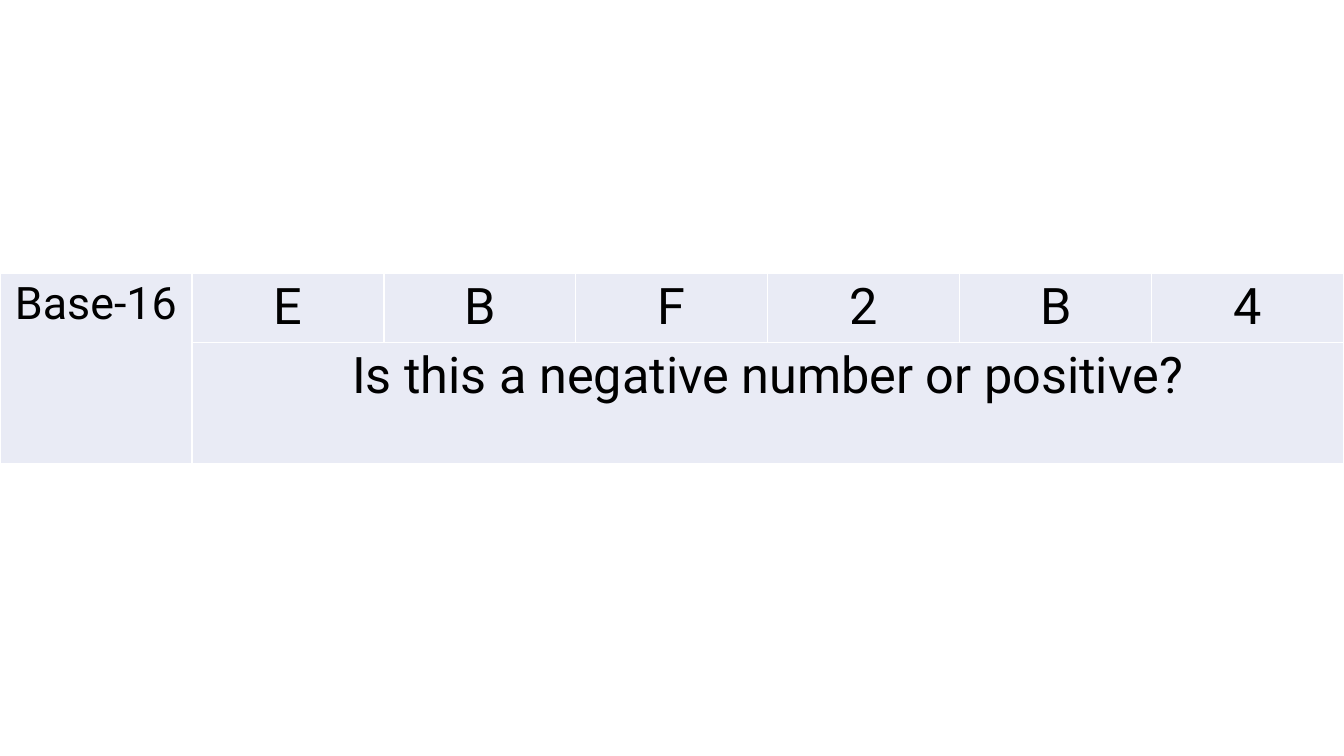
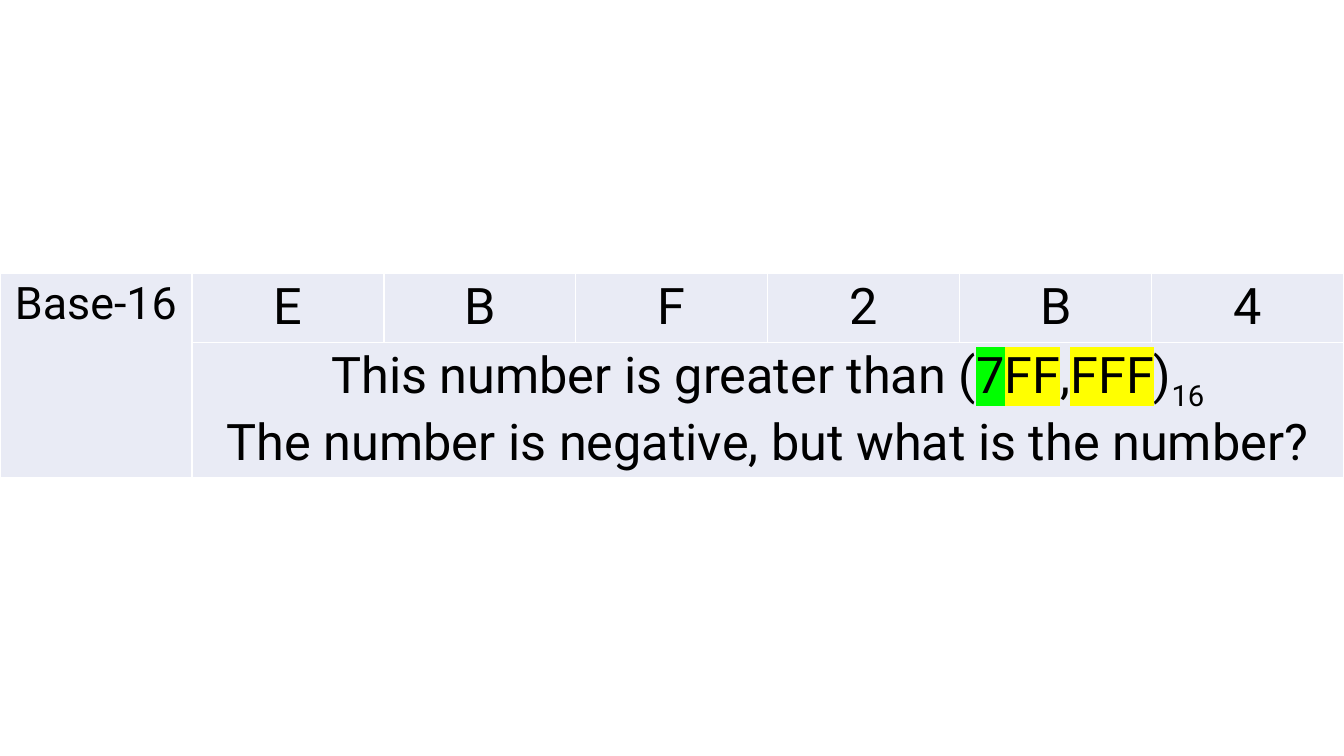
from dataclasses import dataclass

from lxml.etree import SubElement
from pptx import Presentation
from pptx.dml.color import RGBColor as Rgb
from pptx.enum.text import PP_ALIGN as Align
from pptx.oxml.ns import qn
from pptx.util import Inches, Pt

# Shared look
COLORS = {
    "text": "000000",
    "cell": "E9EBF5",
    "border": "FFFFFF",
    "sign_digit": "00FF00",
    "other_digits": "FFFF00",
}
LABEL_FORMAT = {"name": "Roboto", "size": Pt(32)}
BODY_FORMAT = {"name": "Roboto", "size": Pt(36)}
SLIDE_WIDTH, SLIDE_HEIGHT = 13.33, 7.5
TABLE_TOP, DIGIT_ROW_HEIGHT = 2.71, 0.68
BASE, DIGITS = "Base-16", "EBF2B4"


@dataclass(frozen=True)
class Piece:
    text: str
    highlight: str = ""
    baseline: int = 0


Line = list[Piece]


@dataclass(frozen=True)
class NumberSlide:
    remarks: list[Line]
    remark_height: float


NUMBER_SLIDES = [
    NumberSlide([[Piece("Is this a negative number or positive?")]], 1.2),
    NumberSlide(
        [
            [
                Piece("This number is greater than ("),
                Piece("7", "sign_digit"),
                Piece("FF", "other_digits"),
                Piece(","),
                Piece("FFF", "other_digits"),
                Piece(")"),
                Piece("16", baseline=-25),
            ],
            [Piece("The number is negative, but what is the number?")],
        ],
        1.34,
    ),
]


def style_cell(cell) -> None:
    """Give a cell its fill and white one-point borders."""
    cell.fill.solid()
    cell.fill.fore_color.rgb = Rgb.from_string(COLORS["cell"])
    properties = cell._tc.get_or_add_tcPr()
    for position, side in enumerate(("a:lnL", "a:lnR", "a:lnT", "a:lnB")):
        border = SubElement(properties, qn(side), w=str(Pt(1)))
        fill = SubElement(border, qn("a:solidFill"))
        SubElement(fill, qn("a:srgbClr"), val=COLORS["border"])
        properties.insert(position, border)


def add_piece(paragraph, piece: Piece, text_format: dict) -> None:
    run = paragraph.add_run()
    run.text = piece.text
    for attribute, value in text_format.items():
        setattr(run.font, attribute, value)
    run.font.color.rgb = Rgb.from_string(COLORS["text"])
    properties = run._r.get_or_add_rPr()
    if piece.baseline:
        properties.set("baseline", str(piece.baseline * 1000))
    if piece.highlight:
        highlight = SubElement(properties, qn("a:highlight"))
        SubElement(highlight, qn("a:srgbClr"), val=COLORS[piece.highlight])
        properties.find(qn("a:solidFill")).addnext(highlight)


def write_lines(cell, lines: list[Line], text_format: dict) -> None:
    frame = cell.text_frame
    for index, line in enumerate(lines):
        paragraph = frame.add_paragraph() if index else frame.paragraphs[0]
        paragraph.alignment = Align.CENTER
        for piece in line:
            add_piece(paragraph, piece, text_format)


def add_number_slide(deck, content: NumberSlide) -> None:
    slide = deck.slides.add_slide(deck.slide_layouts[6])
    column_count = len(DIGITS) + 1
    heights = (DIGIT_ROW_HEIGHT, content.remark_height)
    table = slide.shapes.add_table(
        len(heights), column_count, Inches(0), Inches(TABLE_TOP),
        Inches(SLIDE_WIDTH), Inches(sum(heights)),
    ).table
    table.first_row = table.horz_banding = False
    for column in table.columns:
        column.width = Inches(SLIDE_WIDTH / column_count)
    for row, height in zip(table.rows, heights):
        row.height = Inches(height)
    for cell in table.iter_cells():
        style_cell(cell)

    # Base label beside the digits, remarks below them
    label, remark = table.cell(0, 0), table.cell(1, 1)
    label.merge(table.cell(1, 0))
    remark.merge(table.cell(1, column_count - 1))
    write_lines(label, [[Piece(BASE)]], LABEL_FORMAT)
    for column_index, digit in enumerate(DIGITS, start=1):
        write_lines(table.cell(0, column_index), [[Piece(digit)]], BODY_FORMAT)
    write_lines(remark, content.remarks, BODY_FORMAT)


def main() -> None:
    deck = Presentation()
    deck.slide_width = Inches(SLIDE_WIDTH)
    deck.slide_height = Inches(SLIDE_HEIGHT)
    for content in NUMBER_SLIDES:
        add_number_slide(deck, content)
    deck.save("out.pptx")


if __name__ == "__main__":
    main()
